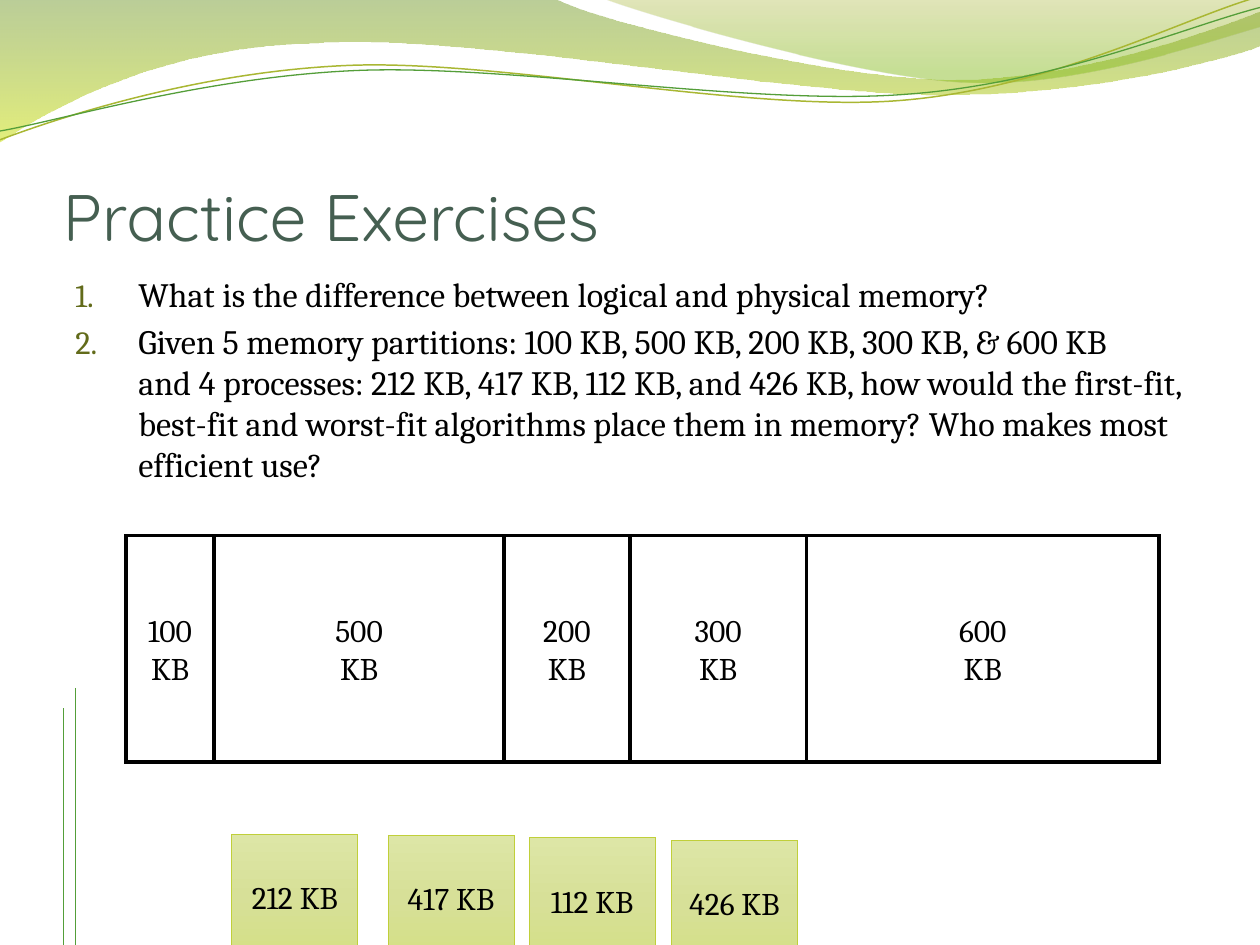
"""Build the practice exercises slide on memory partitions."""
import math
from dataclasses import dataclass

import pptx
import pptx.dml.color
import pptx.enum.shapes
import pptx.enum.text
import pptx.oxml.ns
import pptx.util

Inches = pptx.util.Inches
Pt = pptx.util.Pt
Point = tuple[float, float]
Stop = tuple[int, str, int]

COLORS = {
    "title": "455F51", "text": "000000", "number": "626B1A",
    "olive": "69921C", "lime": "CCE10F", "moss": "9BAA1A", "leaf": "81BA16",
    "gold": "A9B733", "green": "549E39", "edge": "C0CF3A",
    "pale": "DDE6A6", "mid": "D7E098", "deep": "D4E084",
}
PROCESS_STOPS = [(0, "pale", 100), (50, "mid", 100), (100, "deep", 100)]
TILT = -2.7


@dataclass
class Wave:
    """A run of cubic curves and straight edges, filled or stroked."""
    start: Point
    segments: list[tuple[float, ...]]
    stops: list[Stop] | None = None
    color: str = ""
    weight: float = 0
    center: Point | None = None


@dataclass
class Block:
    """A rectangle with an optional label."""
    lines: list[str]
    left: float
    top: float
    width: float
    height: float
    color: str
    weight: float
    stops: list[Stop] | None = None


WAVES = [
    Wave((0, 0), [
        (4.4, -0.01), (4.75, 0.17, 6.63, 0.63, 7.58, 0.63),
        (8.53, 0.63, 9.58, 0.26, 10, 0.09), (10.01, 0.36),
        (9.83, 0.44, 8.69, 0.76, 7.46, 0.75),
        (6.22, 0.75, 3.81, 0.28, 2.57, 0.34),
        (1.29, 0.36, 0.46, 0.83, -0.01, 1.13), (0, 0),
    ], stops=[(0, "olive", 45), (100, "lime", 55)]),
    Wave((4.79, -0.01), [
        (5.09, 0.11, 6.82, 0.62, 7.68, 0.65),
        (8.55, 0.69, 9.61, 0.32, 10, 0.21), (10, 0), (4.79, -0.01),
    ], stops=[(0, "moss", 30), (80, "leaf", 45)]),
    Wave((0, 1.11), [
        (0.48, 0.93, 1.57, 0.57, 2.76, 0.52),
        (3.95, 0.47, 5.92, 0.89, 7.12, 0.8),
        (8.33, 0.71, 9.38, 0.15, 9.97, -0.02),
    ], color="gold", weight=0.85, center=(4.99, 0.58)),
    Wave((0, 1.04), [
        (0.47, 0.96, 1.63, 0.61, 2.83, 0.56),
        (4.02, 0.51, 5.97, 0.84, 7.17, 0.75),
        (8.36, 0.67, 9.41, 0.21, 10, 0.06),
    ], color="green", weight=0.75, center=(5, 0.59)),
]
PARTITIONS = [(100, 0.7), (500, 2.3), (200, 1), (300, 1.4), (600, 2.8)]
PROCESSES = [(212, 1.84, 6.62), (417, 3.08, 6.63), (112, 4.2, 6.65), (426, 5.33, 6.67)]
RULES = [(0.6, 5.46, 8.32), (0.5, 5.62, 8.49)]
QUESTIONS = [
    "What is the difference between logical and physical memory?",
    "Given 5 memory partitions: 100 KB, 500 KB, 200 KB, 300 KB, & 600 KB\v"
    "and 4 processes: 212 KB, 417 KB, 112 KB, and 426 KB, how would the first-fit, "
    "best-fit and worst-fit algorithms place them in memory? Who makes most efficient use?",
]


def rgb(name: str) -> pptx.dml.color.RGBColor:
    """Look up a palette colour."""
    return pptx.dml.color.RGBColor.from_string(COLORS[name])


def element(tag: str, parent, **attributes: str):
    """Append a DrawingML element to its parent."""
    child = parent.makeelement(pptx.oxml.ns.qn(tag), attributes)
    parent.append(child)
    return child


def set_fill(shape, stops: list[Stop] | None) -> None:
    """Fill a shape with a downward gradient, or leave it empty."""
    if not stops:
        shape.fill.background()
        return
    shape.fill.gradient()
    shape.fill.gradient_angle = 270
    stop_list = shape._element.spPr.find(".//" + pptx.oxml.ns.qn("a:gsLst"))
    for old in list(stop_list):
        stop_list.remove(old)
    for position, name, opacity in stops:
        stop = element("a:gs", stop_list, pos=str(position * 1000))
        color = element("a:srgbClr", stop, val=COLORS[name])
        if opacity < 100:
            element("a:alpha", color, val=str(opacity * 1000))


def set_line(shape, color: str, weight: float) -> None:
    """Outline a shape with sharp corners, or hide its outline when it has no colour."""
    if not color:
        shape.line.fill.background()
        return
    shape.line.color.rgb = rgb(color)
    shape.line.width = Pt(weight)
    outline = shape._element.spPr.find(pptx.oxml.ns.qn("a:ln"))
    element("a:miter", outline, lim="800000")


def set_font(para, name: str, size: float, color: str) -> None:
    """Set the font of a whole paragraph."""
    para.font.name = name
    para.font.size = Pt(size)
    para.font.color.rgb = rgb(color)


def level(point: Point, center: Point | None) -> Point:
    """Turn a point of a tilted wave back to the level position."""
    if center is None:
        return point
    turn = math.radians(-TILT)
    dx, dy = point[0] - center[0], point[1] - center[1]
    return (center[0] + dx * math.cos(turn) - dy * math.sin(turn),
            center[1] + dx * math.sin(turn) + dy * math.cos(turn))


def draw_wave(page, wave: Wave) -> None:
    """Draw one wave of the header with true cubic curves."""
    points = [wave.start]
    for segment in wave.segments:
        points += zip(segment[::2], segment[1::2])
    leveled = [level(point, wave.center) for point in points]
    start, *rest = [(Inches(x), Inches(y)) for x, y in leveled]
    builder = page.shapes.build_freeform(*start)
    builder.add_line_segments(rest, close=bool(wave.stops))
    shape = builder.convert_to_shape()
    edges = iter(shape._element.spPr.findall(".//" + pptx.oxml.ns.qn("a:lnTo")))
    for segment in wave.segments:
        edge = next(edges)
        if len(segment) == 6:
            curve = edge.makeelement(pptx.oxml.ns.qn("a:cubicBezTo"), {})
            edge.addprevious(curve)
            for part in (edge, next(edges), next(edges)):
                curve.append(part[0])
                part.getparent().remove(part)
    shape.shadow.inherit = False
    shape.rotation = TILT if wave.center else 0
    set_fill(shape, wave.stops)
    set_line(shape, wave.color, wave.weight)


def draw_block(page, block: Block) -> None:
    """Draw a rectangle with its centred label."""
    box = page.shapes.add_shape(
        pptx.enum.shapes.MSO_SHAPE.RECTANGLE, Inches(block.left), Inches(block.top),
        Inches(block.width), Inches(block.height))
    box.shadow.inherit = False
    set_fill(box, block.stops)
    set_line(box, block.color, block.weight)
    if not block.lines:
        return
    box.text_frame.vertical_anchor = pptx.enum.text.MSO_ANCHOR.MIDDLE
    box.text_frame.text = "\n".join(block.lines)
    for para in box.text_frame.paragraphs:
        para.alignment = pptx.enum.text.PP_ALIGN.CENTER
        set_font(para, "Cambria", 18, "text")


def draw_rule(page, left: float, top: float, bottom: float) -> None:
    """Draw a thin vertical line."""
    rule = page.shapes.add_connector(
        pptx.enum.shapes.MSO_CONNECTOR.STRAIGHT,
        Inches(left), Inches(top), Inches(left), Inches(bottom))
    set_line(rule, "green", 0.5)
    element("a:effectLst", rule._element.spPr)


def draw_title(page) -> None:
    """Draw the slide title."""
    frame = page.shapes.add_textbox(Inches(0.5), Inches(0.77), Inches(9), Inches(1.25)).text_frame
    frame.word_wrap = True
    frame.vertical_anchor = pptx.enum.text.MSO_ANCHOR.BOTTOM
    frame.margin_left = frame.margin_right = frame.margin_bottom = 0
    frame.text = "Practice Exercises"
    set_font(frame.paragraphs[0], "Quicksand", 37.5, "title")


def draw_questions(page) -> None:
    """Draw the numbered questions."""
    frame = page.shapes.add_textbox(Inches(0.5), Inches(2.12), Inches(9.2), Inches(4.8)).text_frame
    frame.word_wrap = True
    for index, question in enumerate(QUESTIONS):
        para = frame.add_paragraph() if index else frame.paragraphs[0]
        para.text = question
        if index:
            para.space_before = Pt(3.4)
        layout = para._p.get_or_add_pPr()
        layout.set("marL", str(Inches(0.5)))
        layout.set("indent", str(Inches(-0.5)))
        element("a:srgbClr", element("a:buClr", layout), val=COLORS["number"])
        element("a:buSzPct", layout, val="95000")
        element("a:buAutoNum", layout, type="arabicPeriod")
        set_font(para, "Cambria", 19.5, "text")


def main() -> None:
    """Build and save the deck."""
    deck = pptx.Presentation()
    deck.slide_width, deck.slide_height = Inches(10), Inches(7.5)
    page = deck.slides.add_slide(deck.slide_layouts[6])
    for wave in WAVES:
        draw_wave(page, wave)
    draw_title(page)
    draw_questions(page)
    left = 1
    total = sum(width for _, width in PARTITIONS)
    draw_block(page, Block([], left, 4.25, total, 1.8, "text", 2))
    for size, width in PARTITIONS:
        draw_block(page, Block([str(size), "KB"], left, 4.25, width, 1.8, "text", 2))
        left += width
    for size, left, top in PROCESSES:
        draw_block(page, Block([f"{size} KB"], left, top, 1, 1, "edge", 0.5, PROCESS_STOPS))
    for rule in RULES:
        draw_rule(page, *rule)
    deck.save("out.pptx")


if __name__ == "__main__":
    main()
